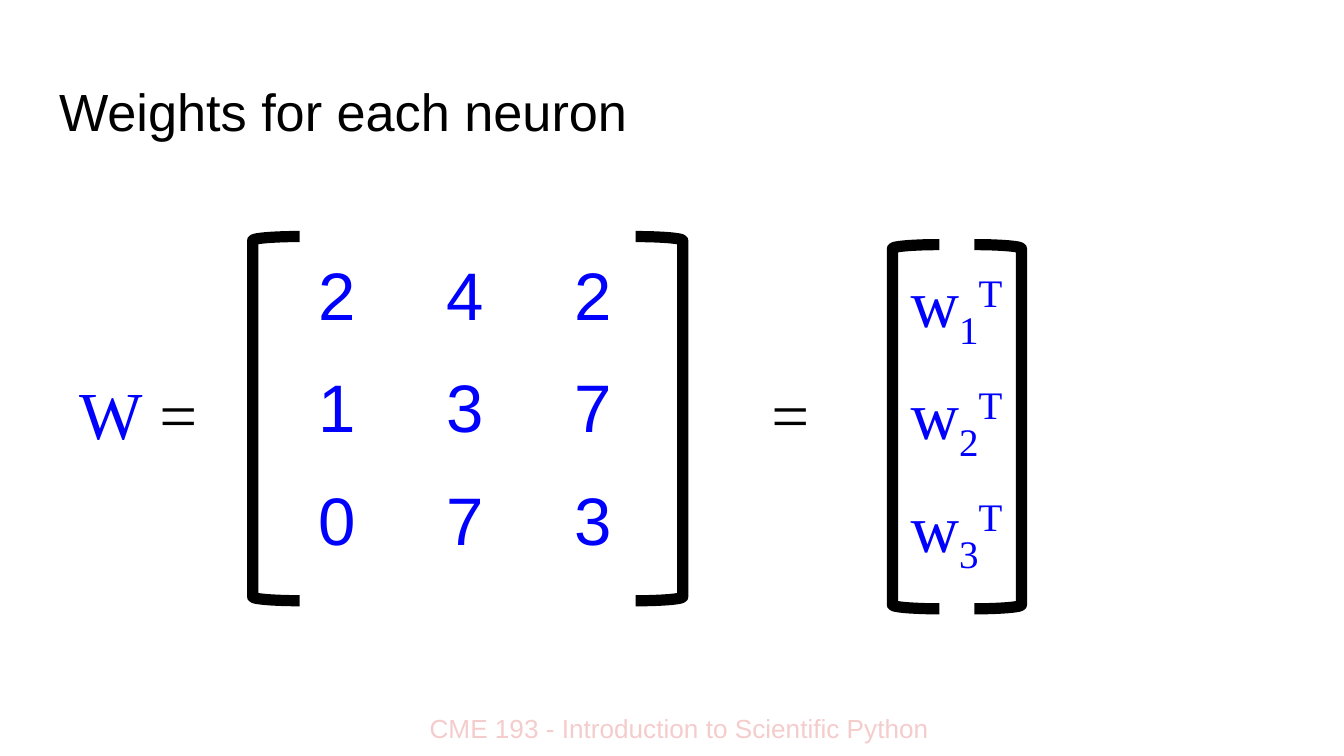
import pptx
import pptx.dml.color
import pptx.enum.shapes
import pptx.enum.text
import pptx.oxml.ns
import pptx.util
from lxml import etree

Inches = pptx.util.Inches
Pt = pptx.util.Pt
RGBColor = pptx.dml.color.RGBColor
ALIGN = pptx.enum.text.PP_ALIGN

BLACK = RGBColor(0x00, 0x00, 0x00)
BLUE = RGBColor(0x00, 0x00, 0xFF)
WHITE = RGBColor(0xFF, 0xFF, 0xFF)
PINK = RGBColor(0xF4, 0xCC, 0xCC)
SANS = "Arial"
SERIF = "Times New Roman"
MATH_SIZE = 36
SLIDE_WIDTH = 10
CELL_WIDTH, CELL_HEIGHT = 2.86 / 3, 2.51 / 3
BRACKET_WIDTH, BRACKET_HEIGHT = 0.35, 2.71


class MatrixSlide:
    def __init__(self, slide):
        self.slide = slide

    def format_frame(self, frame, align=ALIGN.LEFT):
        frame.word_wrap = True
        frame.auto_size = pptx.enum.text.MSO_AUTO_SIZE.NONE
        frame.vertical_anchor = pptx.enum.text.MSO_ANCHOR.TOP
        frame.margin_left = frame.margin_right = Inches(0.1)
        frame.margin_top = frame.margin_bottom = Inches(0.1)
        frame.paragraphs[0].alignment = align

    def add_run(self, paragraph, text, font, size, color, baseline=0):
        run = paragraph.add_run()
        run.text = text
        run.font.name = font
        run.font.size = Pt(size)
        run.font.bold = False
        run.font.color.rgb = color
        if baseline:
            run.font._element.set("baseline", str(baseline * 1000))

    def title(self, text, left, top, width, height):
        heading = self.slide.shapes.title
        heading.left, heading.top = Inches(left), Inches(top)
        heading.width, heading.height = Inches(width), Inches(height)
        self.format_frame(heading.text_frame)
        self.add_run(heading.text_frame.paragraphs[0], text, SANS, 28, BLACK)

    def text(self, runs, left, top, width, height,
             font=SERIF, size=MATH_SIZE, align=ALIGN.LEFT):
        box = self.slide.shapes.add_textbox(
            Inches(left), Inches(top), Inches(width), Inches(height))
        self.format_frame(box.text_frame, align)
        for text, color in runs:
            self.add_run(box.text_frame.paragraphs[0], text, font, size, color)

    def cell_borders(self, cell):
        properties = cell._tc.get_or_add_tcPr()
        for side in ("lnL", "lnR", "lnT", "lnB"):
            line = etree.SubElement(properties, pptx.oxml.ns.qn(f"a:{side}"), w=str(Pt(0.75)))
            fill = etree.SubElement(line, pptx.oxml.ns.qn("a:solidFill"))
            etree.SubElement(fill, pptx.oxml.ns.qn("a:srgbClr"), val=str(WHITE))

    def matrix(self, rows, left, top, font):
        """Each entry is a list of (text, baseline shift in percent)."""
        row_count, column_count = len(rows), len(rows[0])
        grid = self.slide.shapes.add_table(
            row_count, column_count, Inches(left), Inches(top),
            Inches(CELL_WIDTH * column_count), Inches(CELL_HEIGHT * row_count)).table
        grid.first_row = grid.horz_banding = False
        for row_index, row in enumerate(rows):
            for column_index, entry in enumerate(row):
                cell = grid.cell(row_index, column_index)
                cell.margin_left = cell.margin_right = Inches(0.1)
                cell.margin_top = cell.margin_bottom = Inches(0.1)
                self.cell_borders(cell)
                cell.fill.background()
                paragraph = cell.text_frame.paragraphs[0]
                paragraph.alignment = ALIGN.CENTER
                for text, baseline in entry:
                    self.add_run(paragraph, text, font, MATH_SIZE, BLUE, baseline)

    def brackets(self, left, right, top):
        for x, rotation in ((left, 0), (right, 180)):
            bracket = self.slide.shapes.add_shape(
                pptx.enum.shapes.MSO_SHAPE.LEFT_BRACKET, Inches(x), Inches(top),
                Inches(BRACKET_WIDTH), Inches(BRACKET_HEIGHT))
            bracket.rotation = rotation
            bracket.shadow.inherit = False
            bracket.fill.background()
            bracket.line.color.rgb = BLACK
            bracket.line.width = Pt(6)


def main():
    presentation = pptx.Presentation()
    presentation.slide_width = Inches(SLIDE_WIDTH)
    presentation.slide_height = Inches(SLIDE_WIDTH * 9 / 16)
    title_only = presentation.slide_layouts[5]
    page = MatrixSlide(presentation.slides.add_slide(title_only))

    # Footer and title
    page.text([("CME 193 - Introduction to Scientific Python", PINK)],
              2.19, 5.2, 5.73, 0.23, SANS, 14, ALIGN.CENTER)
    page.title("Weights for each neuron", 0.34, 0.49, 9.32, 0.63)

    # Weight matrix
    weights = ["242", "137", "073"]
    page.matrix([[[(digit, 0)] for digit in row] for row in weights], 2.03, 1.83, SANS)
    page.brackets(1.88, 4.73, 1.76)

    # Left side and equals signs
    page.text([("W", BLUE), (" =", BLACK)], 0.49, 2.67, 1.3, 1.01)
    page.text([("=", BLACK)], 5.64, 2.67, 0.61, 1.01)

    # Column of transposed weight vectors
    vectors = [[[("w", 0), (str(neuron), -25), ("T", 30)]] for neuron in range(1, 4)]
    page.matrix(vectors, 6.64, 1.89, SERIF)
    page.brackets(6.64, 7.25, 1.82)

    presentation.save("out.pptx")


if __name__ == "__main__":
    main()
